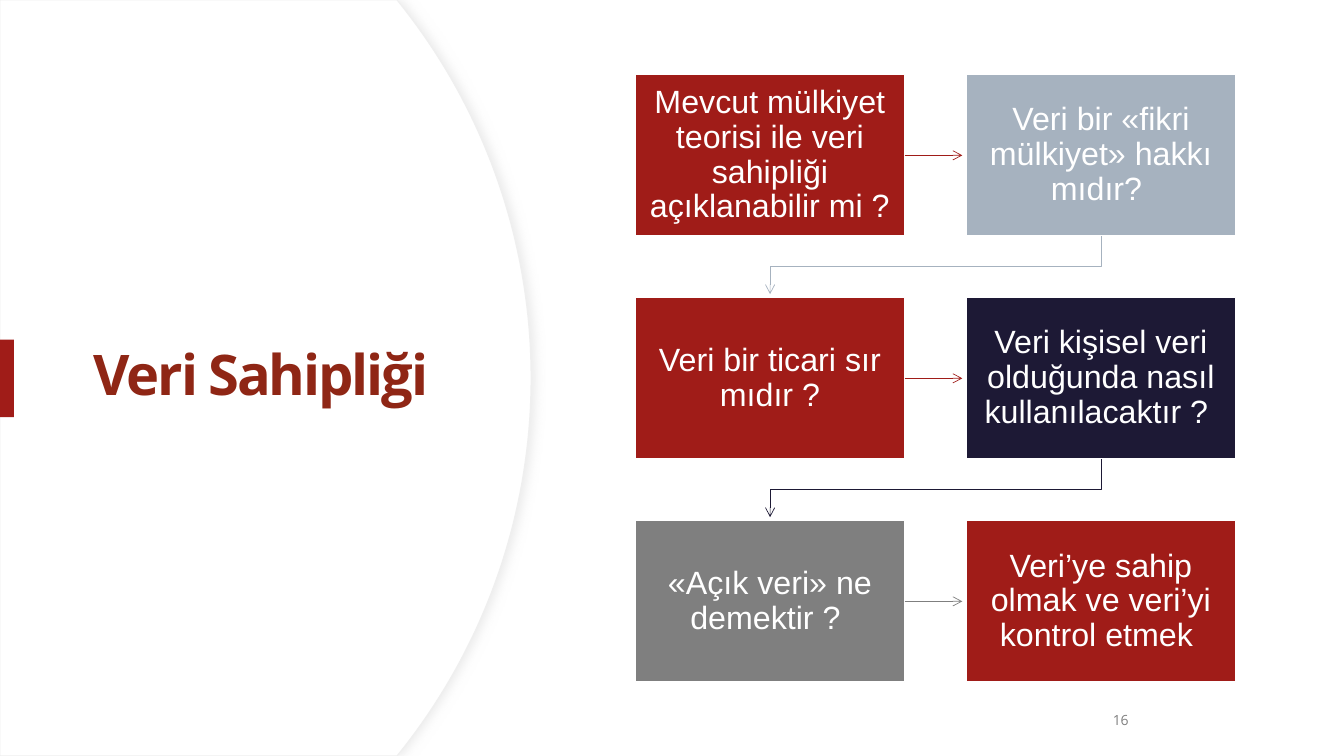
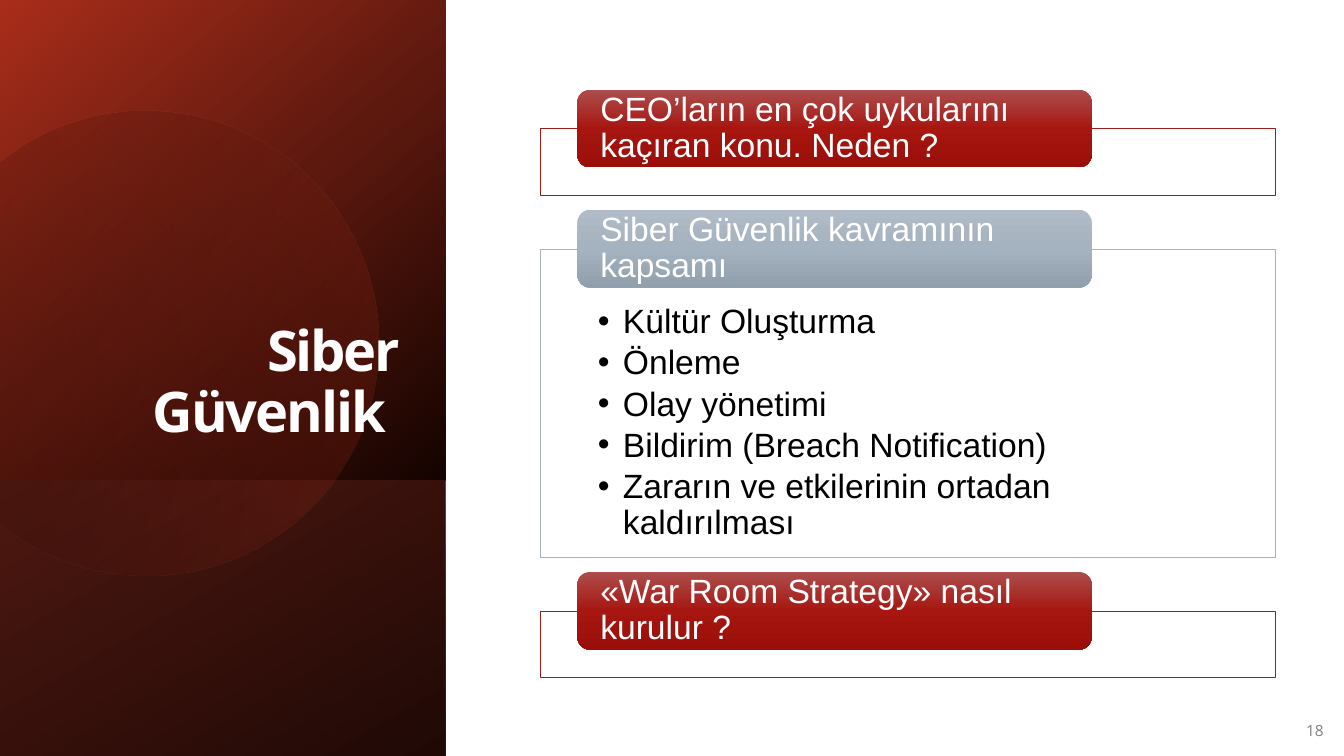
from math import cos, radians, sin

from lxml import etree
from pptx import Presentation
from pptx.dml.color import RGBColor
from pptx.enum.shapes import MSO_CONNECTOR, MSO_SHAPE
from pptx.enum.text import MSO_ANCHOR, PP_ALIGN
from pptx.oxml.ns import qn
from pptx.util import Pt

RECT, ROUNDED = MSO_SHAPE.RECTANGLE, MSO_SHAPE.ROUNDED_RECTANGLE
STRAIGHT = MSO_CONNECTOR.STRAIGHT
LEFT, CENTER, RIGHT = PP_ALIGN.LEFT, PP_ALIGN.CENTER, PP_ALIGN.RIGHT
TOP, MIDDLE, BOTTOM = MSO_ANCHOR.TOP, MSO_ANCHOR.MIDDLE, MSO_ANCHOR.BOTTOM

THEME = {
    "red": "A01C18", "title_red": "8F2615", "steel": "A6B2BF", "navy": "1D1935",
    "gray": "7F7F7F", "number": "808080", "white": "FFFFFF", "black": "000000",
    "hairline": "EFEFEF", "shadow": "D9D9D9",
    # Gradients: (position %, colour, opacity %)
    "red_tab": [(0, "AC4E4D", 100), (50, "A71611", 100), (100, "9A0E09", 100)],
    "steel_tab": [(0, "B0BBC7", 100), (50, "A5B2C0", 100), (100, "919EAC", 100)],
    "panel_top": [(0, "A92D1A", 100), (50, "5E190F", 100), (100, "140300", 100)],
    "panel_base": [(0, "4E1811", 100), (100, "200905", 100)],
    "panel_disc": [(0, "000000", 12), (100, "BF321C", 22)],
    "heading_font": "Open Sans", "body_font": "Arial",
    "title_size": 40, "step_size": 23, "card_size": 24,
}


def paint(shape, fill, angle=0, edge=None, weight=0.5):
    """Solid (colour) or gradient (list of stops) fill, with an optional outline."""
    shape.shadow.inherit = False
    if isinstance(fill, str):
        shape.fill.solid()
        shape.fill.fore_color.rgb = RGBColor.from_string(fill)
    else:
        shape.fill.gradient()
        shape.fill.gradient_angle = -angle % 360
        stops = shape._element.spPr.find(".//" + qn("a:gsLst"))
        stops.clear()
        for position, colour, opacity in fill:
            stop = etree.SubElement(stops, qn("a:gs"), pos=str(position * 1000))
            rgb = etree.SubElement(stop, qn("a:srgbClr"), val=colour)
            etree.SubElement(rgb, qn("a:alpha"), val=str(opacity * 1000))
    if edge:
        shape.line.color.rgb = RGBColor.from_string(edge)
        shape.line.width = Pt(weight)
    else:
        shape.line.fill.background()


def write(shape, lines, size, colour, font, align=CENTER, anchor=MIDDLE,
          insets=(7.2, 3.6), bullet=False, tracking=0):
    frame = shape.text_frame
    frame.word_wrap = True
    frame.vertical_anchor = anchor
    frame.margin_left = frame.margin_right = Pt(insets[0])
    frame.margin_top, frame.margin_bottom = Pt(insets[1]), Pt(insets[-1])
    for i, line in enumerate(lines):
        paragraph = frame.add_paragraph() if i else frame.paragraphs[0]
        run = paragraph.add_run()
        run.text = line
        paragraph.alignment = align
        paragraph.line_spacing = 0.9
        if bullet:
            paragraph.space_after = Pt(3.6)
            properties = paragraph._p.get_or_add_pPr()
            properties.set("marL", str(Pt(18)))
            properties.set("indent", str(-Pt(18)))
            etree.SubElement(properties, qn("a:buFont"), typeface="Arial")
            etree.SubElement(properties, qn("a:buChar"), char="•")
        paragraph.font.size = Pt(size)
        paragraph.font.name = font
        paragraph.font.color.rgb = RGBColor.from_string(colour)
        if tracking:
            paragraph.font.bold = True
            run._r.get_or_add_rPr().set("spc", str(tracking))


deck = Presentation()
deck.slide_width, deck.slide_height = Pt(960), Pt(540)
ownership, security = [deck.slides.add_slide(deck.slide_layouts[6]) for _ in range(2)]

# Ownership: curved panel and accent bar
arc = [(-49 + 428.4 * cos(radians(a)), 270 + 428.4 * sin(radians(a)))
       for a in range(-39, 40)]
outline = ownership.shapes.build_freeform(0, 0)
outline.add_line_segments([(Pt(x), Pt(y)) for x, y in
                           [(283.7, 0), *arc, (283.7, 540), (0, 540)]])
curve = outline.convert_to_shape()
paint(curve, THEME["white"], edge=THEME["hairline"], weight=0.75)
shadow = etree.SubElement(curve._element.spPr.find(qn("a:effectLst")), qn("a:outerShdw"),
                          blurRad=str(Pt(7)), dist=str(Pt(3)), dir="0")
shadow_colour = etree.SubElement(shadow, qn("a:srgbClr"), val=THEME["shadow"])
etree.SubElement(shadow_colour, qn("a:alpha"), val="50000")
accent = ownership.shapes.add_shape(RECT, 0, Pt(242.6), Pt(10), Pt(55.4))
paint(accent, THEME["red"])

# Ownership: question boxes in two columns
STEPS = [
    ("Mevcut mülkiyet teorisi ile veri sahipliği açıklanabilir mi ? ", "red"),
    ("Veri bir «fikri mülkiyet» hakkı mıdır? ", "steel"),
    ("Veri bir ticari sır mıdır ?", "red"),
    ("Veri kişisel veri olduğunda nasıl kullanılacaktır ? ", "navy"),
    ("«Açık veri» ne demektir ? ", "gray"),
    ("Veri’ye sahip olmak ve veri’yi kontrol etmek ", "red"),
]
STEP_W, STEP_H, PITCH_X, PITCH_Y = 192.2, 115.3, 236.4, 159.3
for i, (question, colour) in enumerate(STEPS):
    row, column = divmod(i, 2)
    left, top = 454 + column * PITCH_X, 53.3 + row * PITCH_Y
    step = ownership.shapes.add_shape(RECT, Pt(left), Pt(top), Pt(STEP_W), Pt(STEP_H))
    paint(step, THEME[colour], edge=THEME["white"], weight=1)
    write(step, [question], THEME["step_size"], THEME["white"], THEME["body_font"],
          insets=(9.4, 9.9))
    if i == len(STEPS) - 1:
        break
    # Arrow to the next question: across the row, or down to the next one
    if column == 0:
        middle = Pt(top + STEP_H / 2)
        arrow = ownership.shapes.add_connector(
            STRAIGHT, Pt(left + STEP_W), middle, Pt(left + PITCH_X - 3), middle)
        arrow.begin_connect(step, 3)
        etree.SubElement(arrow._element.spPr, qn("a:effectLst"))
    else:
        start_x, start_y = left + STEP_W / 2, top + STEP_H
        end_x, bend_y = start_x - PITCH_X, start_y + 22
        elbow = ownership.shapes.build_freeform(Pt(start_x), Pt(start_y))
        elbow.add_line_segments(
            [(Pt(start_x), Pt(bend_y)), (Pt(end_x), Pt(bend_y)),
             (Pt(end_x), Pt(top + PITCH_Y - 2.5))], close=False)
        arrow = elbow.convert_to_shape()
        arrow.shadow.inherit = False
        arrow.fill.background()
    arrow.line.color.rgb = RGBColor.from_string(THEME[colour])
    arrow.line.width = Pt(0.5)
    etree.SubElement(arrow.line._get_or_add_ln(), qn("a:tailEnd"), type="arrow")

# Security: dark side panel with a faint disc
for top, height, stops, angle in [(0, 343, "panel_top", 50), (343, 197, "panel_base", 60)]:
    panel = security.shapes.add_shape(RECT, 0, Pt(top), Pt(318), Pt(height))
    paint(panel, THEME[stops], angle)
rim = [(Pt(max(0, 104 + 166 * cos(radians(a)))), Pt(245 + 166 * sin(radians(a))))
       for a in range(0, 360, 3)]
circle = security.shapes.build_freeform(*rim[0])
circle.add_line_segments(rim[1:])
paint(circle.convert_to_shape(), THEME["panel_disc"], 15)

# Security: cards with a heading tab
TOPICS = ["Kültür Oluşturma", "Önleme", "Olay yönetimi", "Bildirim (Breach Notification)",
          "Zararın ve etkilerinin ortadan kaldırılması"]
CARDS = [
    ("CEO’ların en çok uykularını kaçıran konu. Neden ?", "red", 47.6, []),
    ("Siber Güvenlik kavramının kapsamı", "steel", 220.5, TOPICS),
    ("«War Room Strategy» nasıl kurulur ?", "red", 47.6, []),
]
TAB_RISE, CARD_GAP = 28, 10.2
top = 64
for heading, colour, height, topics in CARDS:
    card = security.shapes.add_shape(RECT, Pt(386), Pt(top + TAB_RISE), Pt(525), Pt(height))
    paint(card, THEME["white"], edge=THEME[colour])
    write(card, topics, THEME["card_size"], THEME["black"], THEME["body_font"],
          LEFT, TOP, (41, 39.6, 13.7), bullet=True)
    tab = security.shapes.add_shape(ROUNDED, Pt(412.4), Pt(top), Pt(367.4), Pt(55.6))
    paint(tab, THEME[colour + "_tab"], 90)
    write(tab, [heading], THEME["card_size"], THEME["white"], THEME["body_font"],
          LEFT, insets=(13.7, 0))
    top += TAB_RISE + height + CARD_GAP

# Titles and page numbers
TITLES = [
    (ownership, "Veri Sahipliği ", (49, 91.4, 283.7, 356.4), "title_red", CENTER, MIDDLE),
    (security, "Siber Güvenlik ", (46, 132.5, 245.5, 188.6), "white", RIGHT, BOTTOM),
]
for slide, text, place, colour, align, anchor in TITLES:
    title = slide.shapes.add_textbox(*map(Pt, place))
    write(title, [text], THEME["title_size"], THEME[colour], THEME["heading_font"],
          align, anchor, tracking=-150)
NUMBERS = [(ownership, "16", (692.6, 500.4, 216, 28.8), 10),
           (security, "18", (921.6, 508.3, 35.3, 28.8), 11)]
for slide, text, place, size in NUMBERS:
    number = slide.shapes.add_textbox(*map(Pt, place))
    write(number, [text], size, THEME["number"], THEME["heading_font"])

deck.save("out.pptx")
